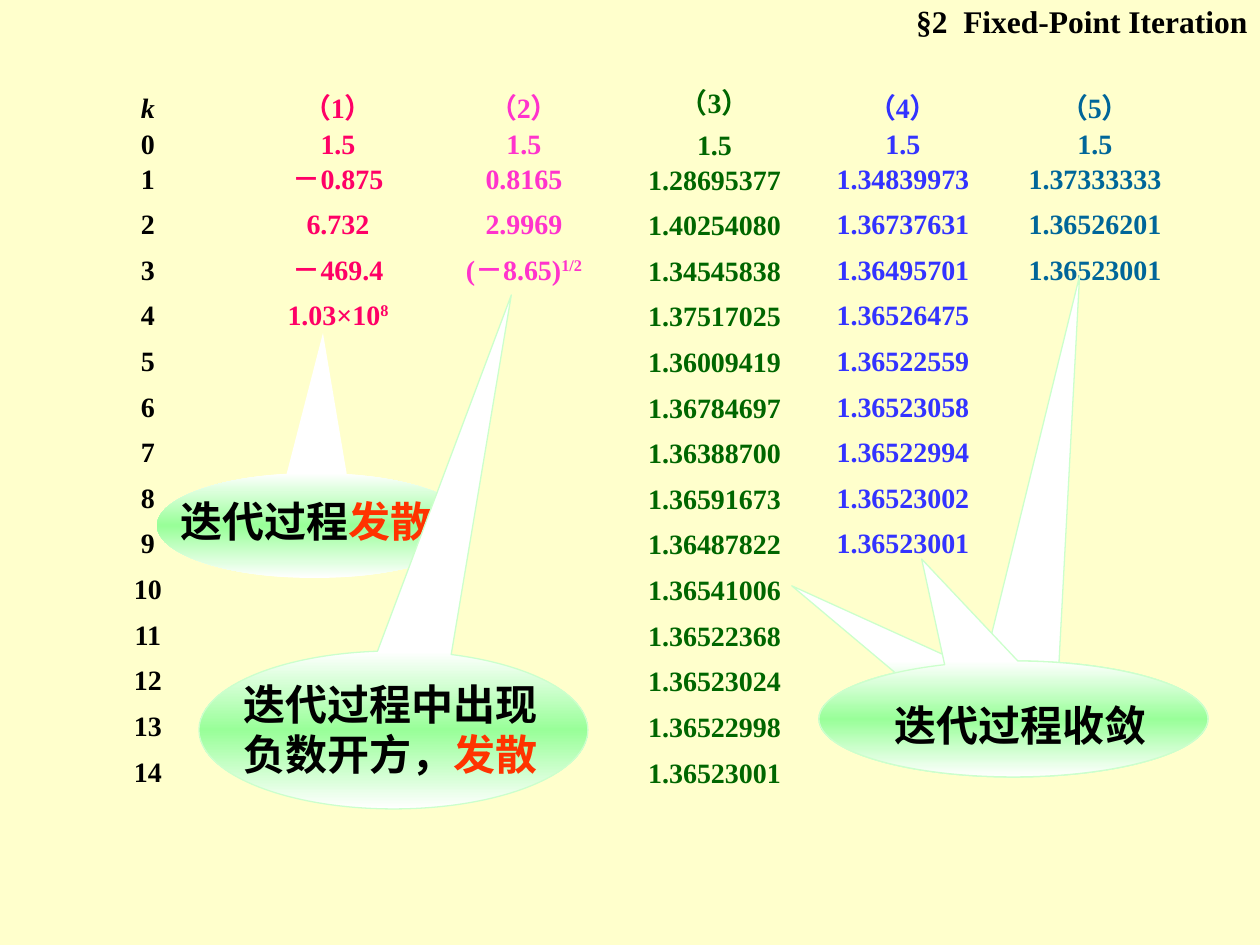
from copy import deepcopy

from pptx import Presentation
from pptx.dml.color import RGBColor
from pptx.enum.shapes import MSO_SHAPE
from pptx.enum.text import MSO_ANCHOR, MSO_AUTO_SIZE, PP_ALIGN
from pptx.oxml.ns import qn
from pptx.util import Emu, Pt

PX_PER_INCH = 126
LATIN_FONT = "Times New Roman"
CHINESE_FONT = "Noto Sans CJK SC"
BLACK, WARNING = "000000", "FF3300"
SHORT_ROW, TALL_ROW = 35, 46
ROW_SPAN, ROW_STEPS = 593, 13  # distance from row 1 to row 14

COLUMNS = [  # left, top, width, colour, header, gap below header, values
    (630, 79, 169, "006600", "（3）", 42,
     ["1.5", "1.28695377", "1.40254080", "1.34545838", "1.37517025",
      "1.36009419", "1.36784697", "1.36388700", "1.36591673", "1.36487822",
      "1.36541006", "1.36522368", "1.36523024", "1.36522998", "1.36523001"]),
    (66, 84, 164, BLACK, "k", 36, [str(k) for k in range(15)]),
    (256, 84, 164, "FF0066", "（1）", 36,
     ["1.5", "－0.875", "6.732", "－469.4", "1.03×10^8"]),
    (442, 84, 164, "FF33CC", "（2）", 36,
     ["1.5", "0.8165", "2.9969", "(－8.65)^1/2"]),
    (821, 84, 164, "3333FF", "（4）", 36,
     ["1.5", "1.34839973", "1.36737631", "1.36495701", "1.36526475",
      "1.36522559", "1.36523058", "1.36522994", "1.36523002", "1.36523001"]),
    (1013, 84, 164, "006699", "（5）", 36,
     ["1.5", "1.37333333", "1.36526201", "1.36523001"]),
]

CALLOUTS = [  # ellipse box, tail tips, outline, text box inside it, lines
    ((157, 473, 315, 105), [(0.027, -1.833)], None,
     (11, 16, 280, 63), [[("迭代过程", BLACK), ("发散", WARNING)]]),
    ((199, 651, 389, 158), [(0.303, -2.754)], "CCFFCC",
     (32, 21, 336, 113), [[("迭代过程中出现", BLACK)],
                          [("负数开方，", BLACK), ("发散", WARNING)]]),
    ((819, 661, 389, 116),
     [(0.17, -3.822), (-0.57, -1.148), (-0.236, -1.379)], "CCFFCC",
     (63, 32, 280, 63), [[("迭代过程收敛", BLACK)]]),
]


def px(length):
    return Emu(round(length * 914400 / PX_PER_INCH))


def rgb(colour):
    return RGBColor.from_string(colour)


def add_run(paragraph, text, size, colour, latin=LATIN_FONT):
    run = paragraph.add_run()
    run.text = text
    run.font.size = Pt(size)
    run.font.bold = True
    run.font.name = latin
    run.font.color.rgb = rgb(colour)
    properties = run._r.get_or_add_rPr()
    east_asian = properties.makeelement(qn("a:ea"), {"typeface": CHINESE_FONT})
    properties.find(qn("a:latin")).addnext(east_asian)
    return run


def add_text_frame(shapes, box):
    frame = shapes.add_textbox(*map(px, box)).text_frame
    frame.word_wrap = True
    return frame


def add_cell(shapes, box, text, colour):
    """Centred value; whatever follows a caret is an exponent."""
    paragraph = add_text_frame(shapes, box).paragraphs[0]
    paragraph.alignment = PP_ALIGN.CENTER
    base, _, exponent = text.partition("^")
    run = add_run(paragraph, base, 16, colour)
    run.font.italic = text == "k"
    if exponent:
        power = add_run(paragraph, exponent, 16, colour)
        power._r.get_or_add_rPr().set("baseline", "30000")


def add_column(slide, left, top, width, colour, header, gap, values):
    shapes = slide.shapes.add_group_shape().shapes
    start = top + gap
    add_cell(shapes, (left, start, width, SHORT_ROW), values[0], colour)
    for index, value in enumerate(values[1:]):
        row_top = start + SHORT_ROW + index * ROW_SPAN // ROW_STEPS
        add_cell(shapes, (left, row_top, width, TALL_ROW), value, colour)
    add_cell(shapes, (left, top, width, SHORT_ROW), header, colour)


def fill_with_glow(shape):
    """White to green to white, from top to bottom."""
    shape.fill.gradient()
    shape.fill.gradient_angle = 90
    for stop in shape.fill.gradient_stops:
        stop.color.rgb = rgb("FFFFFF")
    stops = shape._element.spPr.find(qn("a:gradFill")).find(qn("a:gsLst"))
    stops.insert(1, deepcopy(stops[0]))
    middle = shape.fill.gradient_stops[1]
    middle.position = 0.5
    middle.color.rgb = rgb("99FF99")


def add_callout(slide, box, tips, outline, text_box, lines):
    shapes = slide.shapes.add_group_shape().shapes
    for tip in tips:
        shape = shapes.add_shape(MSO_SHAPE.OVAL_CALLOUT, *map(px, box))
        shape.adjustments[0], shape.adjustments[1] = tip
        shape.shadow.inherit = False
        fill_with_glow(shape)
        if outline:
            shape.line.color.rgb = rgb(outline)
            shape.line.width = Pt(0.75)
        else:
            shape.line.fill.background()
    left, top, width, height = text_box
    frame = add_text_frame(shapes, (box[0] + left, box[1] + top, width, height))
    frame.word_wrap = len(lines) > 1
    frame.auto_size = MSO_AUTO_SIZE.SHAPE_TO_FIT_TEXT
    for index, line in enumerate(lines):
        paragraph = frame.add_paragraph() if index else frame.paragraphs[0]
        paragraph.line_spacing = Pt(28.8)
        for text, colour in line:
            add_run(paragraph, text, 24, colour, CHINESE_FONT)


def add_title(slide, box):
    frame = add_text_frame(slide.shapes, box)
    frame.vertical_anchor = MSO_ANCHOR.MIDDLE
    paragraph = frame.paragraphs[0]
    paragraph.alignment = PP_ALIGN.RIGHT
    add_run(paragraph, "§2  Fixed-Point Iteration", 18, BLACK)


def main():
    presentation = Presentation()
    presentation.slide_width, presentation.slide_height = px(1260), px(945)
    slide = presentation.slides.add_slide(presentation.slide_layouts[6])
    slide.background.fill.solid()
    slide.background.fill.fore_color.rgb = rgb("FFFFCC")
    for column in COLUMNS:
        add_column(slide, *column)
    add_title(slide, (860, 0, 400, 42))
    for callout in CALLOUTS:
        add_callout(slide, *callout)
    presentation.save("out.pptx")


if __name__ == "__main__":
    main()
